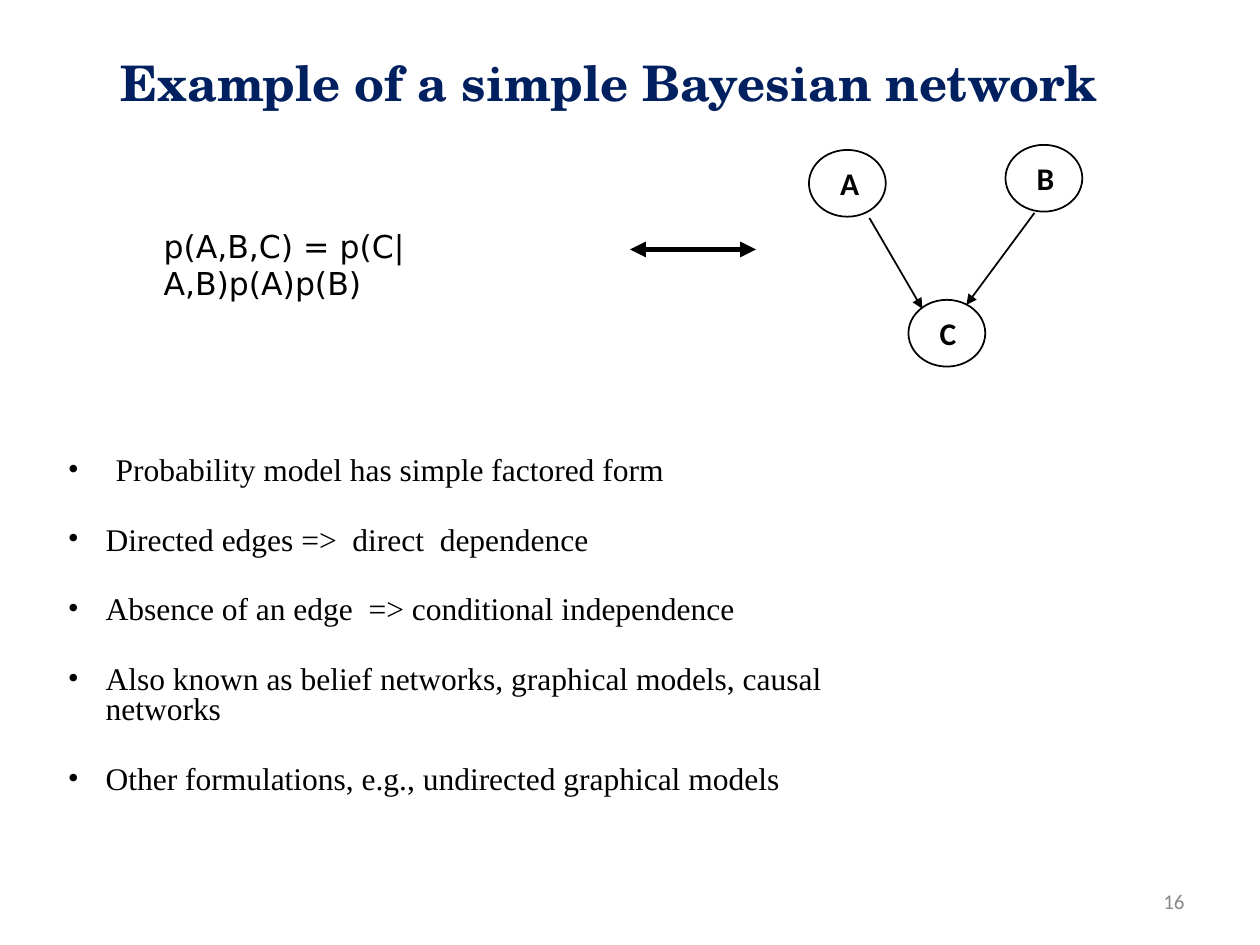
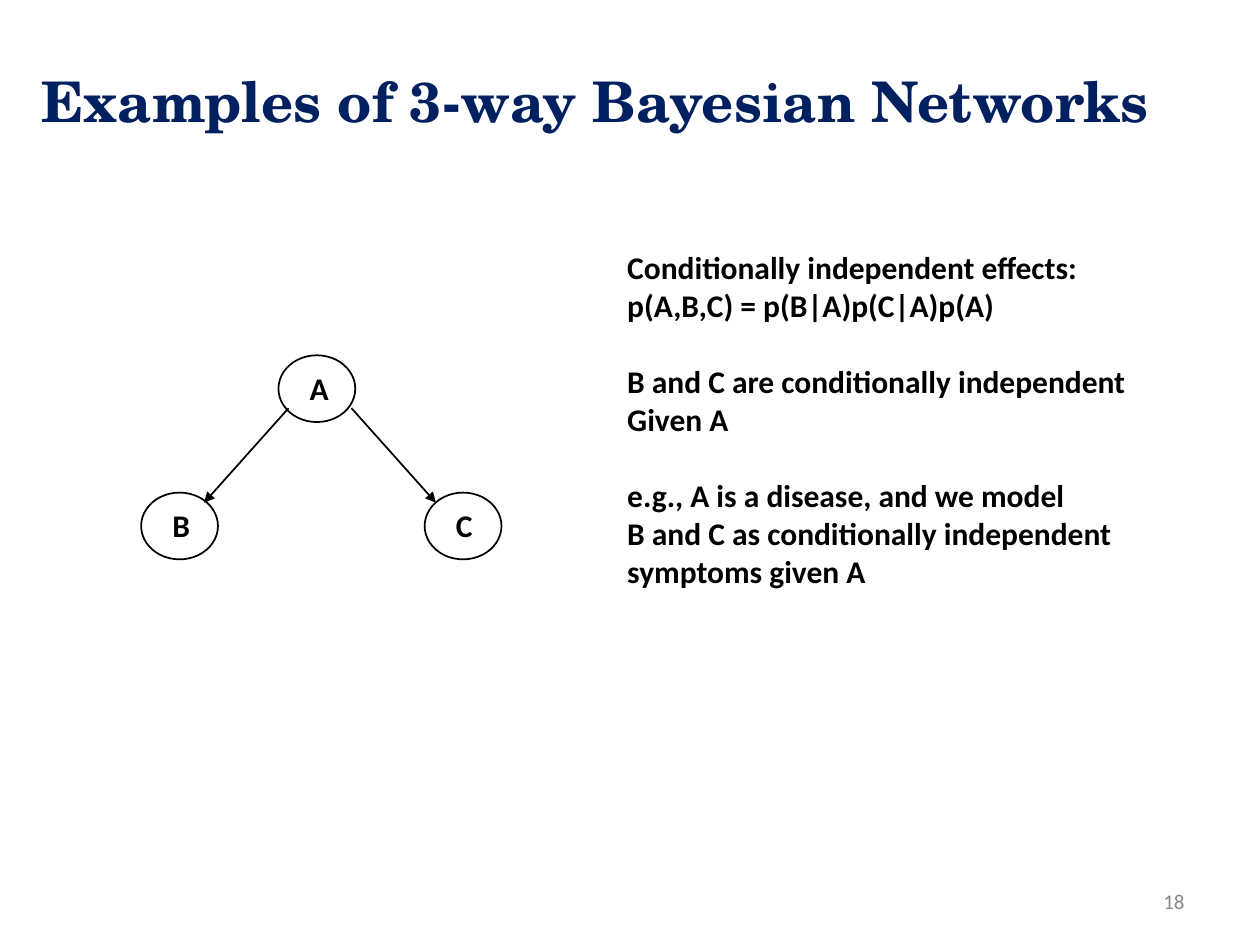
from lxml import etree
from pptx import Presentation
from pptx.dml.color import RGBColor
from pptx.enum import shapes as kinds, text as txt
from pptx.oxml import ns
from pptx.util import Inches, Pt

BLACK, NAVY, GREY = "000000", "002060", "898989"
HEADING, BODY, SERIF, FORMULA = "TeX Gyre Schola", "Calibri", "Times New Roman", "DejaVu Sans"
NODE_W, NODE_H = 0.61, 0.53


def colour(value):
    return RGBColor.from_string(value)


def add_xml(parent, tag, **attributes):
    return etree.SubElement(parent, ns.qn(tag), attributes)


def add_text(shapes, box, lines, size, font, ink=BLACK, bold=False, wrap=True,
             align=txt.PP_ALIGN.LEFT, anchor=txt.MSO_ANCHOR.TOP, inset=0.1):
    """Write one paragraph per line and return the paragraphs."""
    frame = shapes.add_textbox(*map(Inches, box)).text_frame
    frame.word_wrap = wrap
    frame.vertical_anchor = anchor
    frame.margin_left = frame.margin_right = Inches(inset)
    for number, line in enumerate(lines):
        paragraph = frame.add_paragraph() if number else frame.paragraphs[0]
        paragraph.alignment = align
        run = paragraph.add_run()
        run.text = line
        run.font.size, run.font.name, run.font.bold = Pt(size), font, bold
        run.font.color.rgb = colour(ink)
    return frame.paragraphs


def add_arrow(shapes, start, end, weight=1, both_ends=False):
    arrow = shapes.add_connector(kinds.MSO_CONNECTOR.STRAIGHT, *map(Inches, (*start, *end)))
    arrow.line.width = Pt(weight)
    arrow.line.color.rgb = colour(BLACK)
    outline = arrow.line._get_or_add_ln()
    if both_ends:
        add_xml(outline, "a:headEnd", type="triangle")
    add_xml(outline, "a:tailEnd", type="triangle")
    add_xml(arrow._element.spPr, "a:effectLst")


def add_title(slide, box, wording, size):
    add_text(slide.shapes, box, [wording], size, HEADING, NAVY, bold=True,
             align=txt.PP_ALIGN.CENTER, anchor=txt.MSO_ANCHOR.MIDDLE, inset=0)


def add_page_number(slide, number):
    add_text(slide.shapes, (7.17, 6.95, 2.33, 0.4), [str(number)], 12, BODY, GREY,
             align=txt.PP_ALIGN.RIGHT, anchor=txt.MSO_ANCHOR.MIDDLE)


def add_network(slide, left, top, nodes, edges):
    """Draw a graph; node corners and edge ends are relative to left, top."""
    graph = slide.shapes.add_group_shape().shapes
    for name, (x, y) in nodes.items():
        x, y = left + x, top + y
        add_text(graph, (x + 0.15, y + 0.06, 0.34, 0.4), [name], 18, BODY, bold=True, wrap=False)
        ring = graph.add_shape(kinds.MSO_SHAPE.OVAL, *map(Inches, (x, y, NODE_W, NODE_H)))
        ring.shadow.inherit = False
        ring.fill.background()
        ring.line.color.rgb = colour(BLACK)
        ring.line.width = Pt(1)
    for (x1, y1), (x2, y2) in edges:
        add_arrow(graph, (left + x1, top + y1), (left + x2, top + y2))


def add_bullets(slide, box, points):
    """Bulleted list; each point is its wording, hanging indent and bullet size."""
    wordings = [wording for wording, _, _ in points]
    paragraphs = add_text(slide.shapes, box, wordings, 18, SERIF)
    for number, (paragraph, (_, indent, bullet_size)) in enumerate(zip(paragraphs, points)):
        paragraph.line_spacing = 0.8
        paragraph.space_before = Pt(9 if number else 0)
        paragraph.space_after = Pt(13.5)
        props = paragraph._p.get_or_add_pPr()
        props.set("marL", str(Inches(indent)))
        props.set("indent", str(-Inches(indent)))
        add_xml(add_xml(props, "a:buClr"), "a:srgbClr", val=BLACK)
        add_xml(props, "a:buSzPts", val=str(bullet_size * 100))
        add_xml(props, "a:buFont", typeface=SERIF)
        add_xml(props, "a:buChar", char="•")


def build_simple_network(slide):
    add_title(slide, (0.58, 0.21, 8.5, 0.88), "Example of a simple Bayesian network", 28)
    # Common effect: A and B both point to C
    add_network(slide, 6.42, 1.15,
                {"A": (0, 0.04), "B": (1.56, 0), "C": (0.79, 1.23)},
                [((0.48, 0.58), (0.9, 1.3)), ((1.79, 0.54), (1.25, 1.27))])
    # Properties of the model
    add_bullets(slide, (0.44, 3.58, 7.01, 2.58), [
        ("Probability model has simple factored form", 0.38, 20),
        ("Directed edges =>  direct  dependence", 0.3, 18),
        ("Absence of an edge  => conditional independence", 0.3, 18),
        ("Also known as belief networks, graphical models, causal networks", 0.3, 18),
        ("Other formulations, e.g., undirected graphical models", 0.3, 18),
    ])
    # Factored form and its equivalence with the graph
    add_text(slide.shapes, (1.2, 1.75, 3.31, 0.4), ["p(A,B,C) = p(C|A,B)p(A)p(B)"], 18, FORMULA)
    add_arrow(slide.shapes, (5, 1.98), (6, 1.98), weight=3, both_ends=True)
    add_page_number(slide, 16)


def build_three_way_network(slide):
    add_title(slide, (0.2, 0.17, 9.05, 1.25), "Examples of 3-way Bayesian Networks", 32)
    # Common cause: A points to B and C
    add_network(slide, 1.12, 2.82,
                {"A": (1.09, 0), "C": (2.25, 1.09), "B": (0, 1.09)},
                [((1.17, 0.42), (0.5, 1.17)), ((1.67, 0.42), (2.34, 1.17))])
    # Explanation in three passages, one blank line's height apart
    passages = [
        ["Conditionally independent effects:", "p(A,B,C) = p(B|A)p(C|A)p(A)"],
        ["B and C are conditionally independent", "Given A"],
        ["e.g., A is a disease, and we model", "B and C as conditionally independent",
         "symptoms given A"],
    ]
    paragraphs = add_text(slide.shapes, (4.88, 1.92, 4.3, 3.1), sum(passages, []), 18, BODY, bold=True)
    start = 0
    for passage in passages[:-1]:
        start += len(passage)
        paragraphs[start].space_before = Pt(22)
    add_page_number(slide, 18)


def main():
    deck = Presentation()
    deck.slide_width, deck.slide_height = Inches(10), Inches(7.5)
    for build in (build_simple_network, build_three_way_network):
        build(deck.slides.add_slide(deck.slide_layouts[6]))
    deck.save("out.pptx")


if __name__ == "__main__":
    main()
